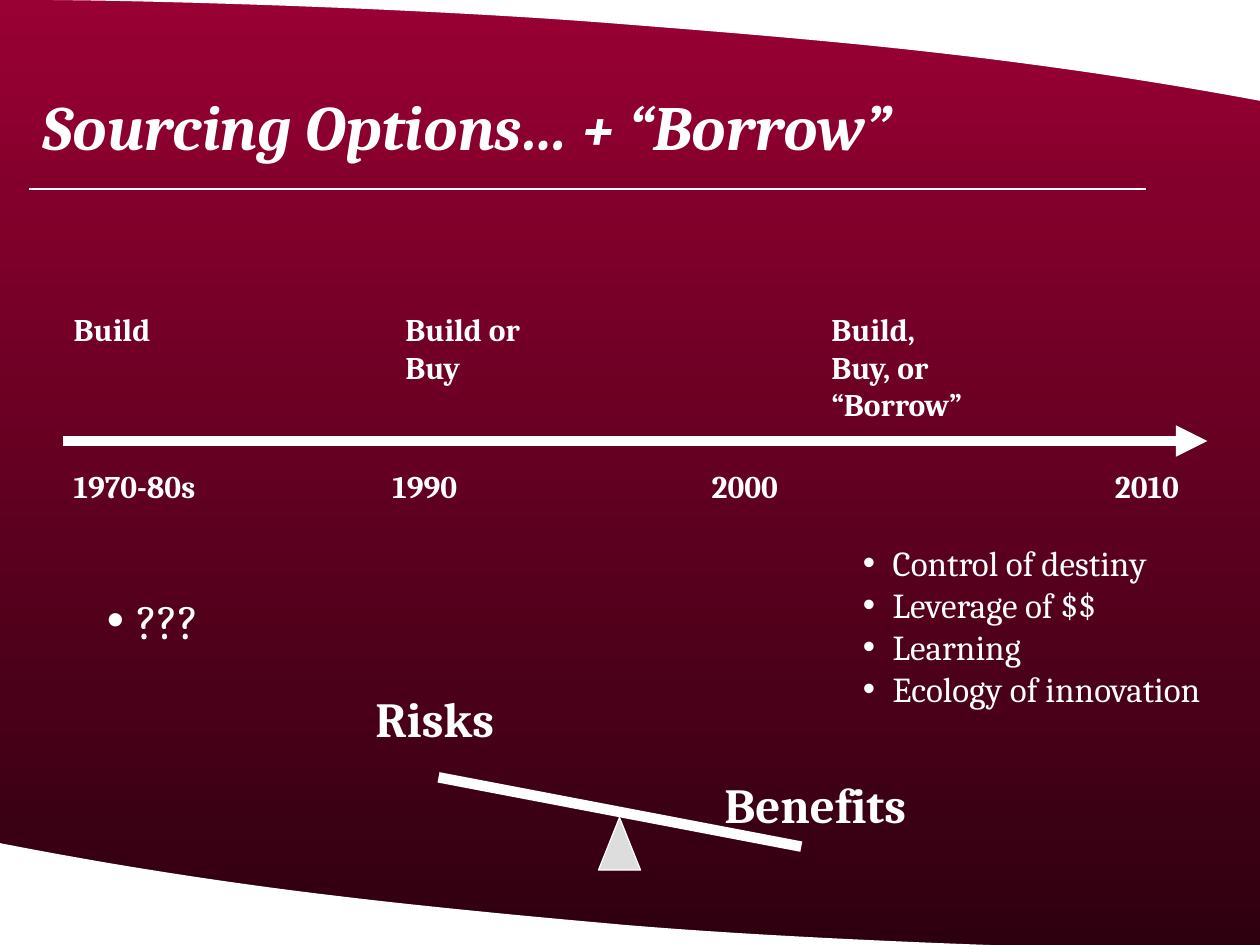
from collections import namedtuple
from dataclasses import dataclass

from lxml.etree import SubElement
from pptx import Presentation
from pptx.dml.color import RGBColor
from pptx.enum.shapes import MSO_CONNECTOR, MSO_SHAPE
from pptx.enum.text import MSO_ANCHOR, MSO_AUTO_SIZE, PP_ALIGN
from pptx.oxml.ns import qn
from pptx.util import Pt

Box = namedtuple("Box", "left top width height")


@dataclass(frozen=True)
class Theme:
    font: str = "Cambria"
    ink: RGBColor = RGBColor(0xFF, 0xFF, 0xFF)
    backdrop_top: RGBColor = RGBColor(0x99, 0x00, 0x33)
    backdrop_bottom: RGBColor = RGBColor(0x2E, 0x00, 0x0F)
    fulcrum: RGBColor = RGBColor(0xDD, 0xDD, 0xDD)
    title_size: int = 36
    heading_size: int = 28
    label_size: int = 18
    list_size: int = 20
    rule_width: float = 1.5
    bar_width: float = 6
    outline_width: float = 0.75


THEME = Theme()
SLIDE = Box(0, 0, 720, 540)


def write(frame, lines, size, **formats):
    """Fill a text frame with one paragraph per line, in the theme's font."""
    frame.text = "\n".join(lines)
    font_values = {"name": THEME.font, "size": Pt(size), **formats}
    for paragraph in frame.paragraphs:
        for run in paragraph.runs:
            run.font.color.rgb = THEME.ink
            for name, value in font_values.items():
                setattr(run.font, name, value)


def add_text(slide, box, lines, size, bold=True):
    frame = slide.shapes.add_textbox(*map(Pt, box)).text_frame
    write(frame, lines, size, bold=bold)
    frame.word_wrap = False
    frame.auto_size = MSO_AUTO_SIZE.SHAPE_TO_FIT_TEXT
    return frame


def add_bullets(slide, box, lines, size, indent=17):
    frame = add_text(slide, box, lines, size, bold=False)
    for paragraph in frame.paragraphs:
        properties = paragraph._p.get_or_add_pPr()
        properties.set("marL", str(Pt(indent)))
        properties.set("indent", str(-Pt(indent)))
        SubElement(properties, qn("a:buFont"), typeface="Arial")
        SubElement(properties, qn("a:buChar"), char="•")


def add_line(slide, start, end, width, arrow=False):
    connector = slide.shapes.add_connector(
        MSO_CONNECTOR.STRAIGHT, *map(Pt, (*start, *end)))
    connector.line.color.rgb = THEME.ink
    connector.line.width = Pt(width)
    if arrow:
        SubElement(connector.line._get_or_add_ln(), qn("a:tailEnd"), type="triangle")
    SubElement(connector._element.spPr, qn("a:effectLst"))


def bezier(start, control_1, control_2, end, steps=24):
    """Return points along a cubic curve, without its start."""
    points = []
    for step in range(1, steps + 1):
        t = step / steps
        weights = ((1 - t) ** 3, 3 * t * (1 - t) ** 2, 3 * t ** 2 * (1 - t), t ** 3)
        points.append(tuple(
            sum(weight * value for weight, value in zip(weights, axis))
            for axis in zip(start, control_1, control_2, end)))
    return points


def add_swoosh(slide, box, start, curves, corners):
    """Draw a filled edge from chained curves, closed through its corners."""
    points = [start]
    for curve in curves:
        points += bezier(points[-1], *curve)
    (start_x, start_y), *rest = [
        (Pt(box.left + x), Pt(box.top + y)) for x, y in points + corners]
    builder = slide.shapes.build_freeform(start_x, start_y)
    builder.add_line_segments(rest, close=True)
    swoosh = builder.convert_to_shape()
    swoosh.shadow.inherit = False
    swoosh.fill.solid()
    swoosh.fill.fore_color.rgb = THEME.ink
    swoosh.line.fill.background()


def add_backdrop(slide, box):
    fill = slide.background.fill
    fill.gradient()
    fill.gradient_angle = 270
    colors = (THEME.backdrop_top, THEME.backdrop_bottom)
    for stop, color, position in zip(fill.gradient_stops, colors, (0, 1)):
        stop.color.rgb = color
        stop.position = position
    add_swoosh(
        slide, box, (box.width, 543.6),
        [((658.8, 543.6), (475.9, 538.6), (356.4, 528.5)),
         ((236.2, 517.7), (131.8, 507.6), (-0.7, 481.7))],
        [(-0.7, 543.6)])
    add_swoosh(
        slide, box, (0, 0),
        [((60.5, -0.7), (242.6, 4.3), (362.9, 14.4)),
         ((483.1, 23.8), (587.5, 33.1), (box.width, 57.6))],
        [(box.width, -0.7), (0, -0.7)])


def add_header(slide, box, text):
    title = slide.shapes.title
    placement = {"left": box.left, "top": box.top, "width": box.width, "height": 51}
    for name, value in placement.items():
        setattr(title, name, Pt(value))
    frame = title.text_frame
    write(frame, [text], THEME.title_size, bold=True, italic=True)
    frame.auto_size = MSO_AUTO_SIZE.NONE
    frame.vertical_anchor = MSO_ANCHOR.MIDDLE
    frame.paragraphs[0].alignment = PP_ALIGN.LEFT
    rule_y = box.top + box.height
    add_line(slide, (box.left, rule_y), (box.left + 638, rule_y), THEME.rule_width)


def add_timeline(slide, box, options, years):
    """Place sourcing options above an arrow and years below it."""
    axis_y = box.top + 78.5
    add_line(slide, (box.left + 1, axis_y), (box.left + box.width, axis_y),
             THEME.bar_width, arrow=True)
    for offset, width, lines in options:
        label = Box(box.left + offset, box.top, width, 7.2 + 21.6 * len(lines))
        add_text(slide, label, lines, THEME.label_size)
    for offset, width, year in years:
        label = Box(box.left + offset, box.top + 90, width, 29)
        add_text(slide, label, [year], THEME.label_size)


def add_balance(slide, box, lighter, heavier):
    """Place a seesaw that tips towards the heavier side."""
    fulcrum = slide.shapes.add_shape(
        MSO_SHAPE.ISOSCELES_TRIANGLE,
        *map(Pt, (box.left + 134.6, box.top + 77, 24, 30)))
    fulcrum.shadow.inherit = False
    fulcrum.fill.solid()
    fulcrum.fill.fore_color.rgb = THEME.fulcrum
    fulcrum.line.color.rgb = THEME.ink
    fulcrum.line.width = Pt(THEME.outline_width)
    add_line(slide, (box.left + 43.2, box.top + 54),
             (box.left + 250.5, box.top + 93.6), THEME.bar_width)
    add_text(slide, Box(box.left, box.top, 94.3, 41), [lighter], THEME.heading_size)
    add_text(slide, Box(box.left + 199.4, box.top + 49, 132.5, 41),
             [heavier], THEME.heading_size)


def main():
    presentation = Presentation()
    presentation.slide_width = Pt(SLIDE.width)
    presentation.slide_height = Pt(SLIDE.height)
    slide = presentation.slides.add_slide(presentation.slide_layouts[5])

    add_backdrop(slide, SLIDE)
    add_header(slide, Box(16.8, 46, 694, 62), "Sourcing Options… + “Borrow”")
    add_timeline(
        slide, Box(35, 173.5, 655, 119),
        options=[(0, 65.5, ["Build"]),
                 (189.6, 90.7, ["Build or", "Buy"]),
                 (433, 102.2, ["Build,", "Buy, or", "“Borrow”"])],
        years=[(0, 91.4, "1970-80s"), (182.2, 55.4, "1990"),
               (364.6, 55.4, "2000"), (595, 55.4, "2010")])
    add_balance(slide, Box(207.4, 390.2, 332, 107), "Risks", "Benefits")
    add_bullets(
        slide, Box(486, 306, 230.4, 103.7),
        ["Control of destiny", "Leverage of $$", "Learning", "Ecology of innovation"],
        THEME.list_size)
    add_bullets(slide, Box(54, 334, 76.3, 41), ["???"], THEME.heading_size)

    presentation.save("out.pptx")


if __name__ == "__main__":
    main()
